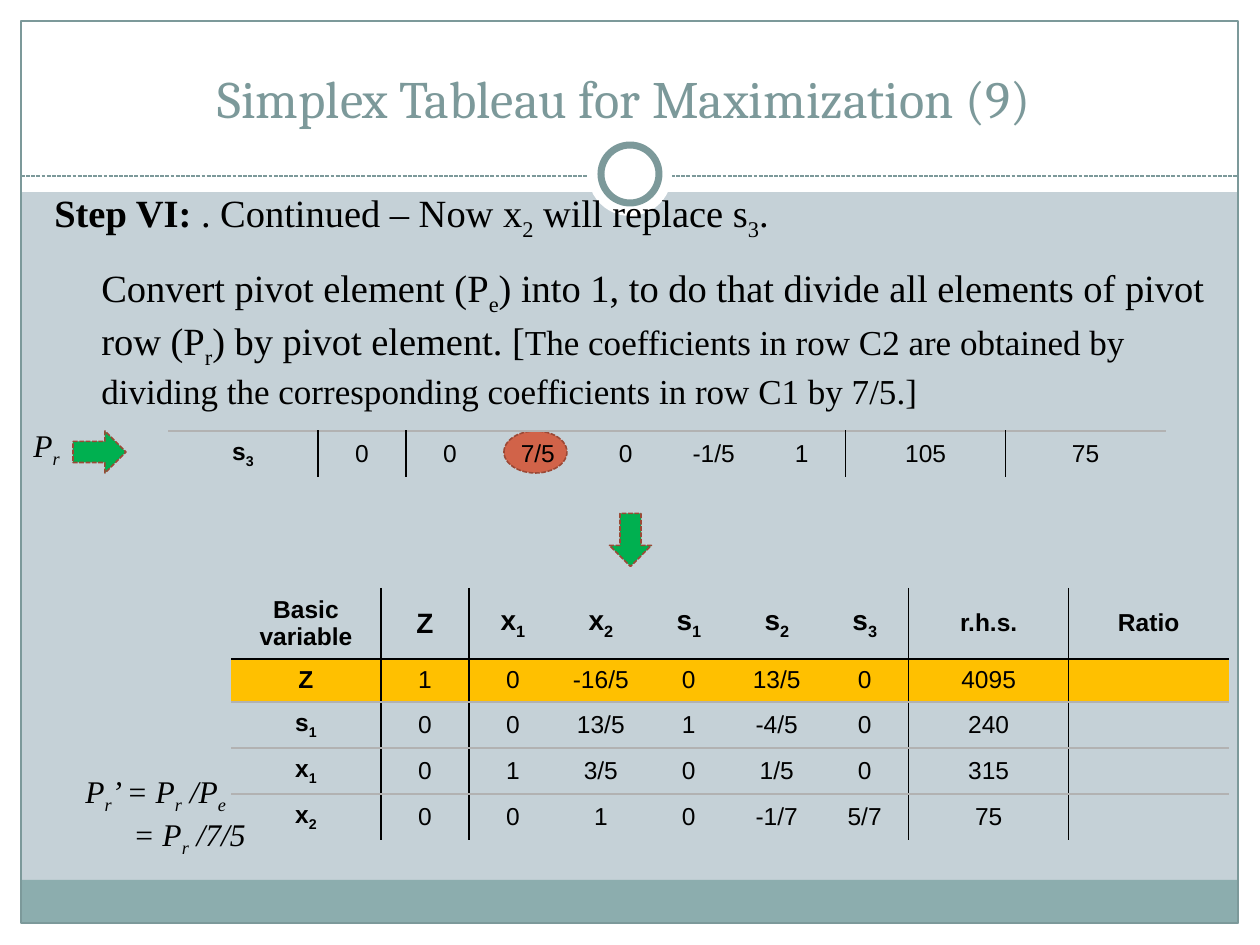
import dataclasses
import pptx
import pptx.dml.color
import pptx.enum.dml
import pptx.enum.shapes
import pptx.enum.text
import pptx.oxml
import pptx.oxml.ns
import pptx.util


@dataclasses.dataclass
class Theme:
    page: str = "C5D1D7"
    white: str = "FFFFFF"
    black: str = "000000"
    teal: str = "7C999A"
    foot: str = "8CADAE"
    red: str = "D16349"
    edge: str = "9B4936"
    green: str = "00B050"
    gold: str = "FFC000"
    gray: str = "B2B2B2"
    head: str = "Cambria"
    body: str = "Times New Roman"
    grid: str = "Arial"
    title: int = 30
    step: int = 22
    note: int = 20
    label: int = 18
    name: int = 16
    cell: int = 14


look = Theme()
PX = 914400 // 126
RGB = pptx.dml.color.RGBColor.from_string
KIND = pptx.enum.shapes.MSO_SHAPE
ALIGN = pptx.enum.text.PP_ALIGN
ANCHOR = pptx.enum.text.MSO_ANCHOR
DASH = pptx.enum.dml.MSO_LINE.SQUARE_DOT


def write(para, text, font=look.body, size=look.label, color=look.black,
          bold=False, italic=False, align=ALIGN.LEFT):
    """Add text to a paragraph; the character after each "_" is a subscript."""
    para.alignment = align
    first, *rest = text.split("_")
    parts = [(first, False)]
    for part in rest:
        parts += [(part[0], True), (part[1:], False)]
    for part, sub in parts:
        if part:
            run = para.add_run()
            run.text = part
            run.font.name, run.font.size = font, pptx.util.Pt(size)
            run.font.bold, run.font.italic = bold, italic
            run.font.color.rgb = RGB(color)
            if sub:
                run.font._element.set("baseline", "-25000")


def tableau(left, top, rows, highs, head):
    """Draw simplex rows; head tells whether they start with column names."""
    wides = [150] + [88] * 6 + [160] * 2
    frame = slide.shapes.add_table(len(rows), len(wides), left * PX, top * PX,
                                   sum(wides) * PX, sum(highs) * PX)
    table = frame.table
    table.first_row = table.horz_banding = False
    style = table._tbl.tblPr.find(pptx.oxml.ns.qn("a:tableStyleId"))
    style.text = "{2D5ABB26-0587-4C30-8999-92F81FD0307C}"
    for col, wide in zip(table.columns, wides):
        col.width = wide * PX
    for y, (row, high) in enumerate(zip(rows, highs)):
        table.rows[y].height = high * PX
        for x, text in enumerate(row):
            cell = table.cell(y, x)
            cell.margin_top = cell.margin_bottom = 0
            cell.vertical_anchor = ANCHOR.MIDDLE
            title = head and y == 0
            write(cell.text_frame.paragraphs[0], text, font=look.grid,
                  size=look.name if title and 0 < x < 7 else look.cell,
                  bold=title or x == 0, align=ALIGN.CENTER)
            sides = {"lnL": None, "lnR": None, "lnT": None, "lnB": None}
            if x in (1, 2, 7, 8):
                sides["lnL"] = look.black
            if x in (0, 1, 6, 7):
                sides["lnR"] = look.black
            if not title:
                sides["lnT"] = look.black if head and y == 1 else look.gray
            if y < len(rows) - 1:
                sides["lnB"] = look.black if title else look.gray
            for side, color in sides.items():
                paint = (f'<a:solidFill><a:srgbClr val="{color}"/></a:solidFill>'
                         if color else "<a:noFill/>")
                cell._tc.get_or_add_tcPr().append(pptx.oxml.parse_xml(
                    f'<a:{side} {pptx.oxml.ns.nsdecls("a")} w="12700">'
                    f'{paint}</a:{side}>'))
            if head and y == 1:
                cell.fill.solid()
                cell.fill.fore_color.rgb = RGB(look.gold)
            else:
                cell.fill.background()


deck = pptx.Presentation()
deck.slide_width, deck.slide_height = pptx.util.Inches(10), pptx.util.Inches(7.5)
slide = deck.slides.add_slide(deck.slide_layouts[5])
slide.background.fill.solid()
slide.background.fill.fore_color.rgb = RGB(look.page)

# Frame, rule, ring, pivot mark and arrows; a kind of None is a straight line
for kind, (x, y, w, h), fill, line, thick, dash, turn in [
    (KIND.RECTANGLE, (0, 924, 1260, 21), look.white, None, 0, False, 0),
    (KIND.RECTANGLE, (0, 0, 1260, 192), look.white, None, 0, False, 0),
    (KIND.RECTANGLE, (0, 0, 21, 945), look.white, None, 0, False, 0),
    (KIND.RECTANGLE, (1239, 0, 21, 945), look.white, None, 0, False, 0),
    (KIND.RECTANGLE, (21, 880, 1217, 43), look.foot, None, 0, False, 0),
    (KIND.RECTANGLE, (21, 21, 1217, 902), None, look.teal, 0.75, False, 0),
    (None, (21, 176, 1217, 0), None, look.teal, 0.75, True, 0),
    (KIND.OVAL, (588, 132, 84, 84), look.white, None, 0, False, 0),
    (KIND.OVAL, (601, 145, 58, 58), look.white, look.teal, 4, False, 0),
    (KIND.OVAL, (504, 431, 63, 42), look.red, look.edge, 0.9, True, 0),
    (KIND.RIGHT_ARROW, (604, 519, 53, 42), look.green, look.edge, 0.9, True, 90),
    (KIND.RIGHT_ARROW, (73, 431, 53, 42), look.green, look.edge, 0.9, True, 0),
]:
    if kind is None:
        shape = slide.shapes.add_connector(
            pptx.enum.shapes.MSO_CONNECTOR.STRAIGHT,
            x * PX, y * PX, (x + w) * PX, (y + h) * PX)
        shape._element.spPr.append(pptx.oxml.parse_xml(
            f'<a:effectLst {pptx.oxml.ns.nsdecls("a")}/>'))
    else:
        shape = slide.shapes.add_shape(kind, x * PX, y * PX, w * PX, h * PX)
        shape.shadow.inherit = False
        shape.rotation = turn
        if fill:
            shape.fill.solid()
            shape.fill.fore_color.rgb = RGB(fill)
        else:
            shape.fill.background()
    if line:
        shape.line.color.rgb = RGB(line)
        shape.line.width = pptx.util.Pt(thick)
        if dash:
            shape.line.dash_style = DASH
    else:
        shape.line.fill.background()

# The title goes in front of the white band
title = slide.shapes.title
slide.shapes._spTree.append(title._element)
title.left, title.top, title.width, title.height = (
    n * PX for n in (42, 30, 1176, 105))
title.text_frame.vertical_anchor = ANCHOR.BOTTOM
write(title.text_frame.paragraphs[0], "Simplex Tableau for Maximization (9) ",
      font=look.head, size=look.title, color=look.teal, align=ALIGN.CENTER)

# Each paragraph is an indent and its runs
step, note = {"size": look.step}, {"size": look.note}
slant = {"italic": True}
for (x, y, w, h), gap, paras in [
    ((42, 183, 1176, 223), 13, [
        (0, [("Step VI: ", {**step, "bold": True}),
             (". Continued – Now x_2 will replace s_3.", step)]),
        (47, [("Convert pivot element (P_e) into 1, to do that divide all "
               "elements of pivot row (P_r) by pivot element. [", step),
              ("The coefficients in row C2 are obtained by dividing the "
               "corresponding coefficients in row C1 by 7/5.]", note)])]),
    ((73, 766, 199, 89), 0, [
        (0, [("P_r’ = P_r /P_e", slant)]),
        (48, [("= P_r /7/5", slant)])]),
    ((21, 420, 95, 50), 0, [(0, [("P_r", slant)])]),
]:
    frame = slide.shapes.add_textbox(x * PX, y * PX, w * PX, h * PX).text_frame
    frame.word_wrap = True
    for i, (dent, runs) in enumerate(paras):
        para = frame.add_paragraph() if i else frame.paragraphs[0]
        if i:
            para.space_before = pptx.util.Pt(gap)
        para._p.get_or_add_pPr().set("marL", str(dent * PX))
        for text, style in runs:
            write(para, text, **style)

tableau(168, 431, [["s_3", "0", "0", "7/5", "0", "-1/5", "1", "105", "75"]],
        [46], head=False)
tableau(231, 588, [
    ["Basic variable", "Z", "x_1", "x_2", "s_1", "s_2", "s_3", "r.h.s.", "Ratio"],
    ["Z", "1", "0", "-16/5", "0", "13/5", "0", "4095", ""],
    ["s_1", "0", "0", "13/5", "1", "-4/5", "0", "240", ""],
    ["x_1", "0", "1", "3/5", "0", "1/5", "0", "315", ""],
    ["x_2", "0", "0", "1", "0", "-1/7", "5/7", "75", ""],
], [71, 43, 46, 46, 46], head=True)

deck.save("out.pptx")
